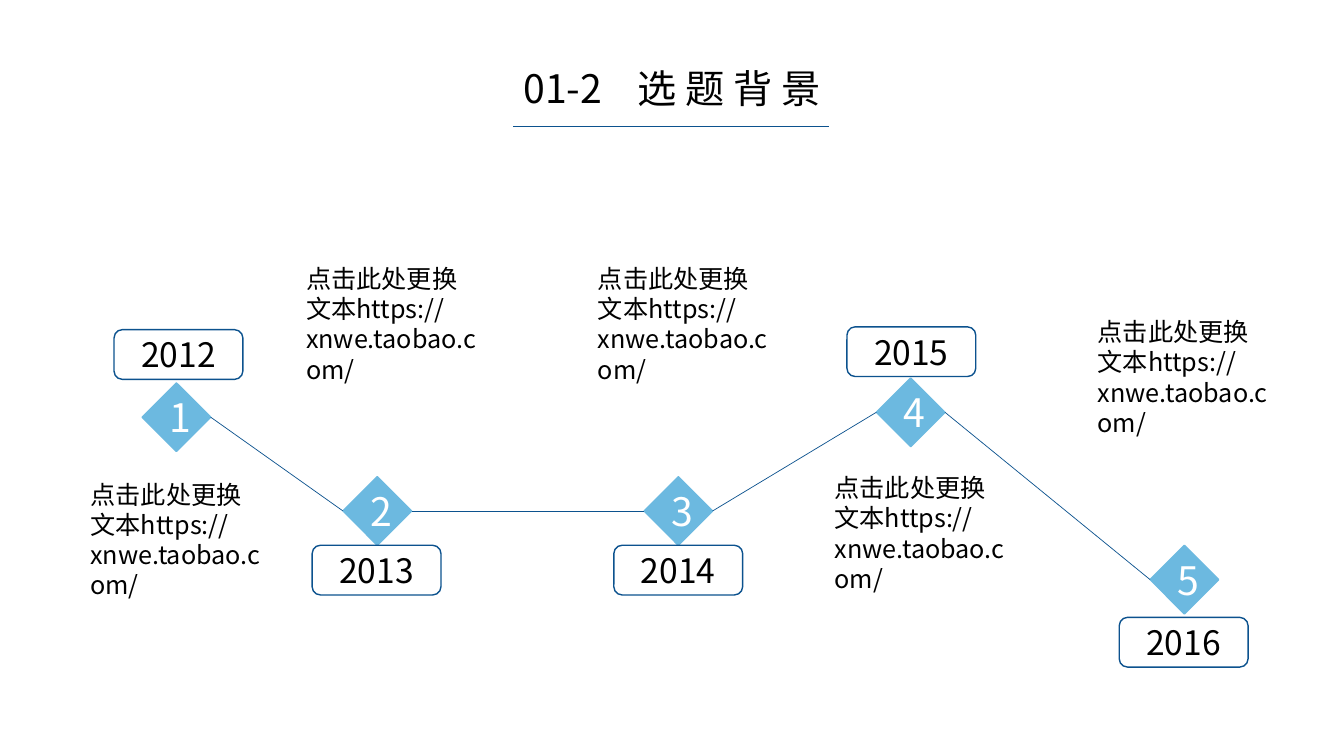
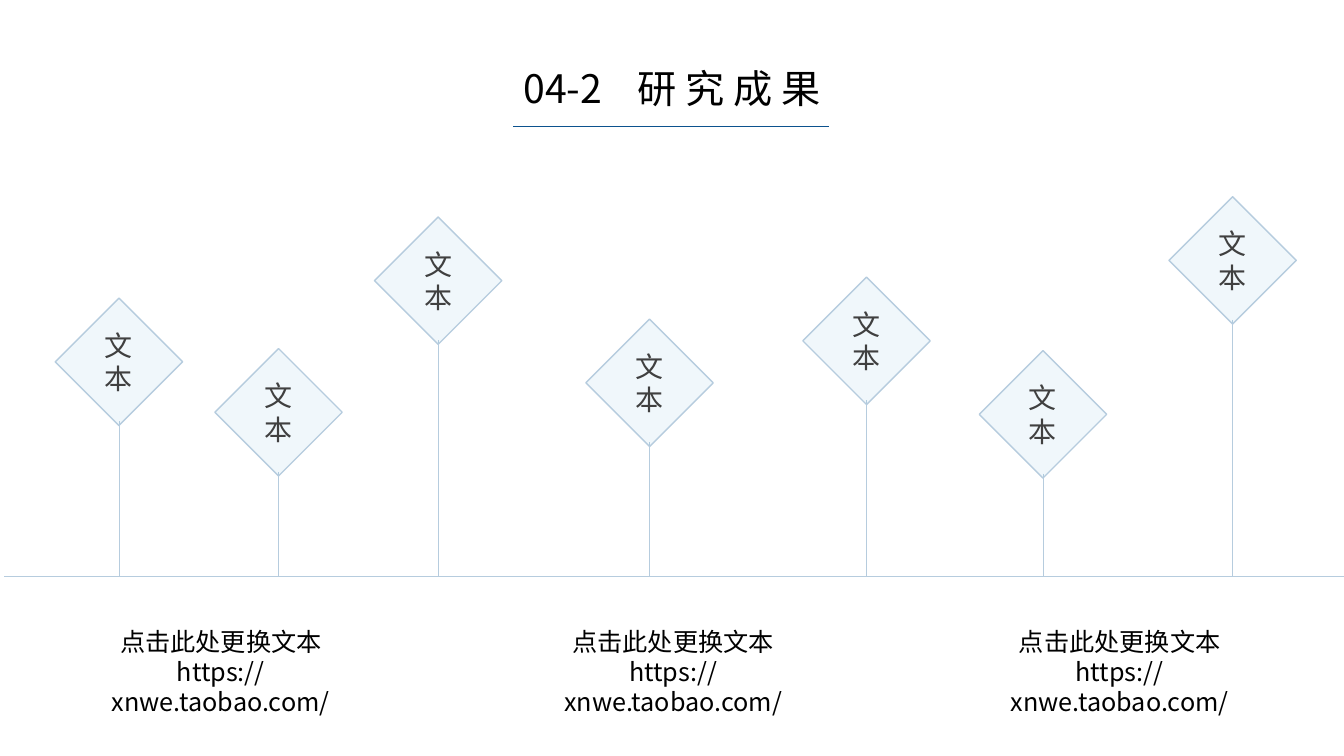
from lxml import etree
from pptx import Presentation
from pptx.dml.color import RGBColor
from pptx.enum.shapes import MSO_CONNECTOR, MSO_SHAPE
from pptx.enum.text import MSO_ANCHOR, MSO_AUTO_SIZE, PP_ALIGN
from pptx.oxml.ns import qn
from pptx.util import Pt

STRAIGHT = MSO_CONNECTOR.STRAIGHT
DIAMOND, ROUNDED = MSO_SHAPE.DIAMOND, MSO_SHAPE.ROUNDED_RECTANGLE
MIDDLE, NO_AUTOSIZE = MSO_ANCHOR.MIDDLE, MSO_AUTO_SIZE.NONE
LEFT, CENTER = PP_ALIGN.LEFT, PP_ALIGN.CENTER
SITE_LEFT, SITE_RIGHT = 1, 3

FONT = "Noto Sans CJK SC"
COLORS = {"navy": "0C528E", "sky": "6CB9E0", "mist": "B6CCDE",
          "black": "000000", "gray": "404040", "white": "FFFFFF"}
NOTE = "点击此处更换文本https://xnwe.taobao.com/"

# year, diamond corner, year box corner, note corner
MILESTONES = [
    ("2012", (101.5, 273.5), (81.5, 235.5), (57.5, 338.5)),
    ("2013", (245, 340.5), (223, 389.5), (211.5, 184.5)),
    ("2014", (460, 340.5), (438.5, 389.5), (420, 184.5)),
    ("2015", (626, 270), (605, 233.5), (589, 334)),
    ("2016", (821.5, 389.5), (799.5, 441), (777, 222.5)),
]
# centre and top of each diamond
RESULTS = [(85, 213), (199, 249), (313, 155), (464, 228),
           (619, 198), (745, 250.5), (880.5, 140.5)]
CAPTION_LEFTS = [50.5, 373.5, 692.5]


def rgb(name):
    return RGBColor.from_string(COLORS[name])


def format_runs(p, size, color, align):
    p.alignment = align
    for r in p.runs:
        r.font.size, r.font.name = Pt(size), FONT
        r.font.color.rgb = rgb(color)
        etree.SubElement(r.font._element, qn("a:ea"), typeface=FONT)


def add_line(slide, x1, y1, x2, y2, color):
    c = slide.shapes.add_connector(STRAIGHT, Pt(x1), Pt(y1), Pt(x2), Pt(y2))
    c.line.color.rgb, c.line.width = rgb(color), Pt(0.5)
    etree.SubElement(c._element.spPr, qn("a:effectLst"))
    return c


def add_box(slide, kind, box, text, size, color, line, fill=None, alpha=None):
    """Outlined preset shape with centred text; alpha is opacity in percent."""
    s = slide.shapes.add_shape(kind, *map(Pt, box))
    s.shadow.inherit = False
    s.line.color.rgb, s.line.width = rgb(line), Pt(1)
    if fill:
        s.fill.solid()
        s.fill.fore_color.rgb = rgb(fill)
    else:
        s.fill.background()
    if alpha:
        clr = s._element.spPr.find(qn("a:solidFill"))[0]
        etree.SubElement(clr, qn("a:alpha"), val=str(alpha * 1000))
    tf = s.text_frame
    tf.text, tf.vertical_anchor = text, MIDDLE
    format_runs(tf.paragraphs[0], size, color, CENTER)
    return s


def add_note(slide, box, align):
    tf = slide.shapes.add_textbox(*map(Pt, box)).text_frame
    tf.word_wrap = True
    tf.text = NOTE
    format_runs(tf.paragraphs[0], 18, "black", align)


def add_titled_slide(prs, number, topic):
    slide = prs.slides.add_slide(prs.slide_layouts[5])
    s = slide.shapes.title
    s.left, s.top, s.width, s.height = Pt(337), Pt(42), Pt(286), Pt(41)
    tf = s.text_frame
    tf.auto_size, tf.vertical_anchor = NO_AUTOSIZE, MIDDLE
    p = tf.paragraphs[0]
    for text in (number, " ", topic):
        p.add_run().text = text
    format_runs(p, 28, "black", CENTER)
    p.runs[1].font._element.set("spc", "1900")  # widens the gap before the topic
    add_line(slide, 366.5, 90.5, 592.5, 90.5, "navy")
    return slide


def add_timeline(slide, size=49):
    previous = None
    for i, (year, corner, year_corner, note_corner) in enumerate(MILESTONES, 1):
        s = add_box(slide, DIAMOND, (*corner, size, size), str(i), 28,
                    "white", "sky", "sky")
        if previous:
            c = add_line(slide, 0, 0, 0, 0, "navy")
            c.begin_connect(previous, SITE_RIGHT)
            c.end_connect(s, SITE_LEFT)
        previous = s
        add_note(slide, (*note_corner, 137, 94.5), LEFT)
        add_box(slide, ROUNDED, (*year_corner, 92, 35.5), year, 24, "black", "navy")


def add_results(slide, baseline=412, size=91):
    """Diamonds on stems rising from a baseline, with captions below it."""
    add_line(slide, 3, baseline, 964, baseline, "mist")
    for cx, top in RESULTS:
        add_line(slide, cx, top + size - 3, cx, baseline, "mist")
        add_box(slide, DIAMOND, (cx - size / 2, top, size, size), "文本", 20,
                "gray", "mist", "sky", 10)
    for left in CAPTION_LEFTS:
        add_note(slide, (left, baseline + 31.5, 214.5, 72.5), CENTER)


def main():
    prs = Presentation()
    prs.slide_width, prs.slide_height = Pt(960), Pt(540)
    add_timeline(add_titled_slide(prs, "01-2", "选 题 背 景"))
    add_results(add_titled_slide(prs, "04-2", "研 究 成 果"))
    prs.save("out.pptx")


if __name__ == "__main__":
    main()
